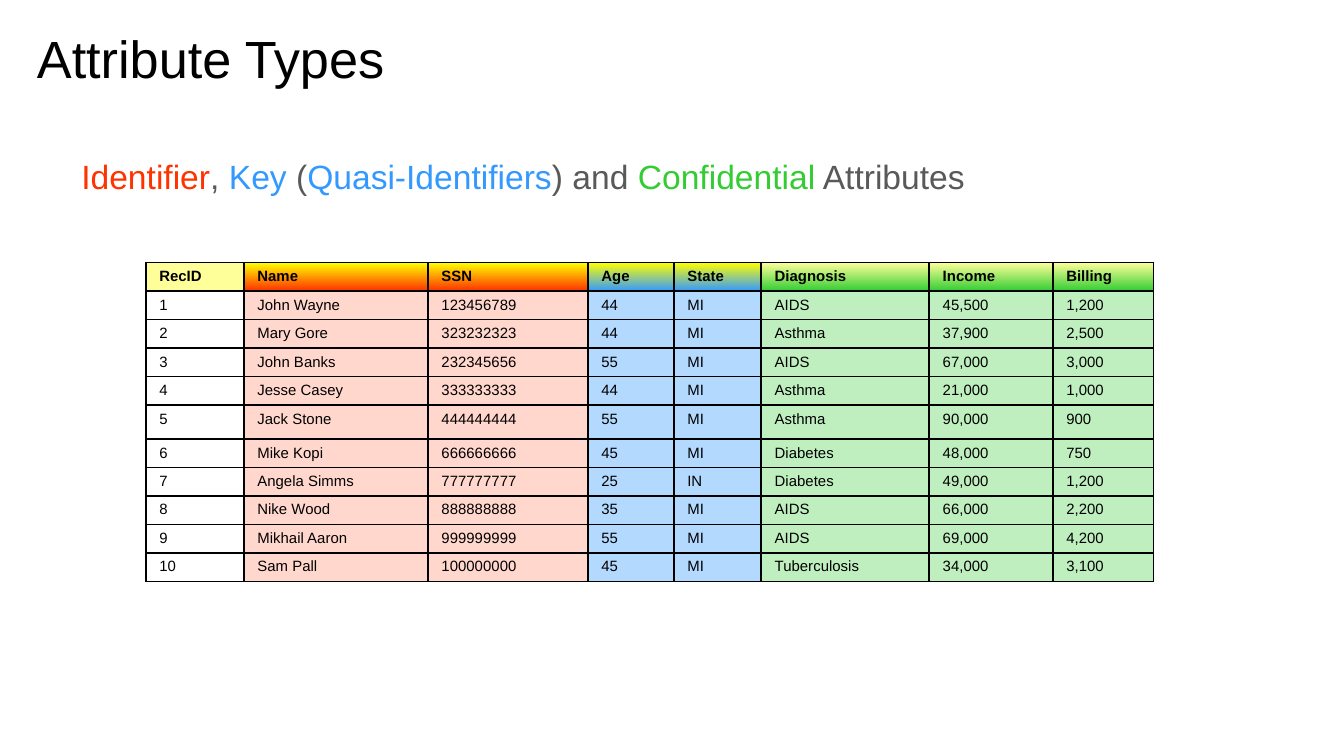
from lxml.etree import SubElement
from pptx import Presentation
from pptx.dml.color import RGBColor
from pptx.enum.text import MSO_ANCHOR, MSO_AUTO_SIZE, PP_ALIGN
from pptx.oxml.ns import qn
from pptx.util import Inches, Pt

FONT = "Arial"
BLACK = RGBColor(0x00, 0x00, 0x00)
WHITE = RGBColor(0xFF, 0xFF, 0xFF)
GRAY = RGBColor(0x59, 0x59, 0x59)
RED = RGBColor(0xFF, 0x33, 0x00)
DEEP_RED = RGBColor(0xFE, 0x30, 0x00)
BLUE = RGBColor(0x33, 0x99, 0xFF)
GREEN = RGBColor(0x33, 0xCC, 0x33)
YELLOW = RGBColor(0xFF, 0xFF, 0x00)
PALE_YELLOW = RGBColor(0xFF, 0xFF, 0x99)
PALE_RED = RGBColor(0xFF, 0xD7, 0xCD)
PALE_BLUE = RGBColor(0xB3, 0xD9, 0xFF)
PALE_GREEN = RGBColor(0xBF, 0xEF, 0xBF)

# Content
TITLE = [("Attribute Types", BLACK)]
LEGEND = [
    ("Identifier", RED), (", ", GRAY), ("Key ", BLUE), ("(", GRAY),
    ("Quasi-Identifiers", BLUE), (") and ", GRAY),
    ("Confidential", GREEN), (" Attributes", GRAY),
]
# Attribute kind: header colours (one is solid, two a gradient), body colour
KINDS = {
    "record": ([PALE_YELLOW], WHITE),
    "identifier": ([YELLOW, DEEP_RED], PALE_RED),
    "key": ([YELLOW, BLUE], PALE_BLUE),
    "confidential": ([PALE_YELLOW, GREEN], PALE_GREEN),
}
# Column: heading, attribute kind, width in % of the slide
COLUMNS = [
    ("RecID", "record", 7.3), ("Name", "identifier", 13.7),
    ("SSN", "identifier", 11.9), ("Age", "key", 6.4), ("State", "key", 6.5),
    ("Diagnosis", "confidential", 12.5), ("Income", "confidential", 9.2),
    ("Billing", "confidential", 7.5),
]
RECORDS = [
    ("John Wayne", "123456789", "44", "MI", "AIDS", "45,500", "1,200"),
    ("Mary Gore", "323232323", "44", "MI", "Asthma", "37,900", "2,500"),
    ("John Banks", "232345656", "55", "MI", "AIDS", "67,000", "3,000"),
    ("Jesse Casey", "333333333", "44", "MI", "Asthma", "21,000", "1,000"),
    ("Jack Stone", "444444444", "55", "MI", "Asthma", "90,000", "900"),
    ("Mike Kopi", "666666666", "45", "MI", "Diabetes", "48,000", "750"),
    ("Angela Simms", "777777777", "25", "IN", "Diabetes", "49,000", "1,200"),
    ("Nike Wood", "888888888", "35", "MI", "AIDS", "66,000", "2,200"),
    ("Mikhail Aaron", "999999999", "55", "MI", "AIDS", "69,000", "4,200"),
    ("Sam Pall", "100000000", "45", "MI", "Tuberculosis", "34,000", "3,100"),
]

# Layout, in % of the slide's width and height
TITLE_BOX = (1.75, 1.7, 93.2, 11.2)
LEGEND_BOX = (3.85, 18.05, 93.2, 66.5)
TABLE_AT = (10.85, 34.75)
ROW_HEIGHT, TALL_HEIGHT, TALL_ROW = 3.77, 4.5, 5

PLACEHOLDER_FORMAT = {
    "margin_left": Inches(0.1), "margin_right": Inches(0.1),
    "margin_top": Inches(0.1), "margin_bottom": Inches(0.1),
    "word_wrap": True, "auto_size": MSO_AUTO_SIZE.NONE,
    "vertical_anchor": MSO_ANCHOR.TOP,
}
CELL_FORMAT = {
    "margin_left": Inches(0.1), "margin_right": Inches(0.1),
    "margin_top": Inches(0.04), "margin_bottom": Inches(0.04),
    "vertical_anchor": MSO_ANCHOR.TOP,
}

# Widescreen slide, 16:9
prs = Presentation()
prs.slide_width = Inches(10)
prs.slide_height = prs.slide_width * 9 // 16


def across(share):
    return round(prs.slide_width * share / 100)


def down(share):
    return round(prs.slide_height * share / 100)


def apply(obj, values):
    for name, value in values.items():
        setattr(obj, name, value)


def add_runs(p, runs, size, bold=False):
    for text, color in runs:
        r = p.add_run()
        r.text = text
        apply(r.font, {"name": FONT, "size": Pt(size), "bold": bold})
        r.font.color.rgb = color


def fill_placeholder(sp, box, runs, size, **paragraph_format):
    x, y, w, h = box
    apply(sp, {"left": across(x), "top": down(y),
               "width": across(w), "height": down(h)})
    tf = sp.text_frame
    apply(tf, PLACEHOLDER_FORMAT)
    p = tf.paragraphs[0]
    apply(p, {"alignment": PP_ALIGN.LEFT, "space_before": Pt(0),
              **paragraph_format})
    add_runs(p, runs, size)
    return p


def add_borders(cell):
    tc_pr = cell._tc.get_or_add_tcPr()
    for side in ("lnL", "lnR", "lnT", "lnB"):
        ln = SubElement(tc_pr, qn(f"a:{side}"), w=str(Pt(1)))
        solid = SubElement(ln, qn("a:solidFill"))
        SubElement(solid, qn("a:srgbClr"), val=str(BLACK))


def fill_cell(cell, colors):
    if len(colors) == 1:
        cell.fill.solid()
        cell.fill.fore_color.rgb = colors[0]
        return
    cell.fill.gradient()
    cell.fill.gradient_angle = 270  # top to bottom
    for stop, color, position in zip(cell.fill.gradient_stops, colors, (0, 1)):
        stop.color.rgb = color
        stop.position = position


# Title and colour-coded legend
slide = prs.slides.add_slide(prs.slide_layouts[1])
fill_placeholder(slide.shapes.title, TITLE_BOX, TITLE, 28)
p = fill_placeholder(slide.placeholders[1], LEGEND_BOX, LEGEND, 18,
                     line_spacing=1.15)
p_pr = p._p.get_or_add_pPr()
p_pr.set("marL", str(Inches(0.12)))
p_pr.set("indent", "0")
SubElement(p_pr, qn("a:buNone"))

# Record table
rows = [[heading for heading, _, _ in COLUMNS]]
rows += [(str(i), *record) for i, record in enumerate(RECORDS, 1)]
heights = [TALL_HEIGHT if i == TALL_ROW else ROW_HEIGHT
           for i in range(len(rows))]
table = slide.shapes.add_table(
    len(rows), len(COLUMNS), across(TABLE_AT[0]), down(TABLE_AT[1]),
    across(sum(width for _, _, width in COLUMNS)), down(sum(heights))).table
apply(table, {"first_row": False, "horz_banding": False})
for column, (_, _, width) in zip(table.columns, COLUMNS):
    column.width = across(width)

for i, (row, height) in enumerate(zip(rows, heights)):
    table.rows[i].height = down(height)
    for j, (text, (_, kind, _)) in enumerate(zip(row, COLUMNS)):
        header_colors, body_color = KINDS[kind]
        cell = table.cell(i, j)
        apply(cell, CELL_FORMAT)
        add_borders(cell)
        fill_cell(cell, [body_color] if i else header_colors)
        p = cell.text_frame.paragraphs[0]
        p.alignment = PP_ALIGN.JUSTIFY
        add_runs(p, [(text, BLACK)], 8, bold=i == 0)

prs.save("out.pptx")
